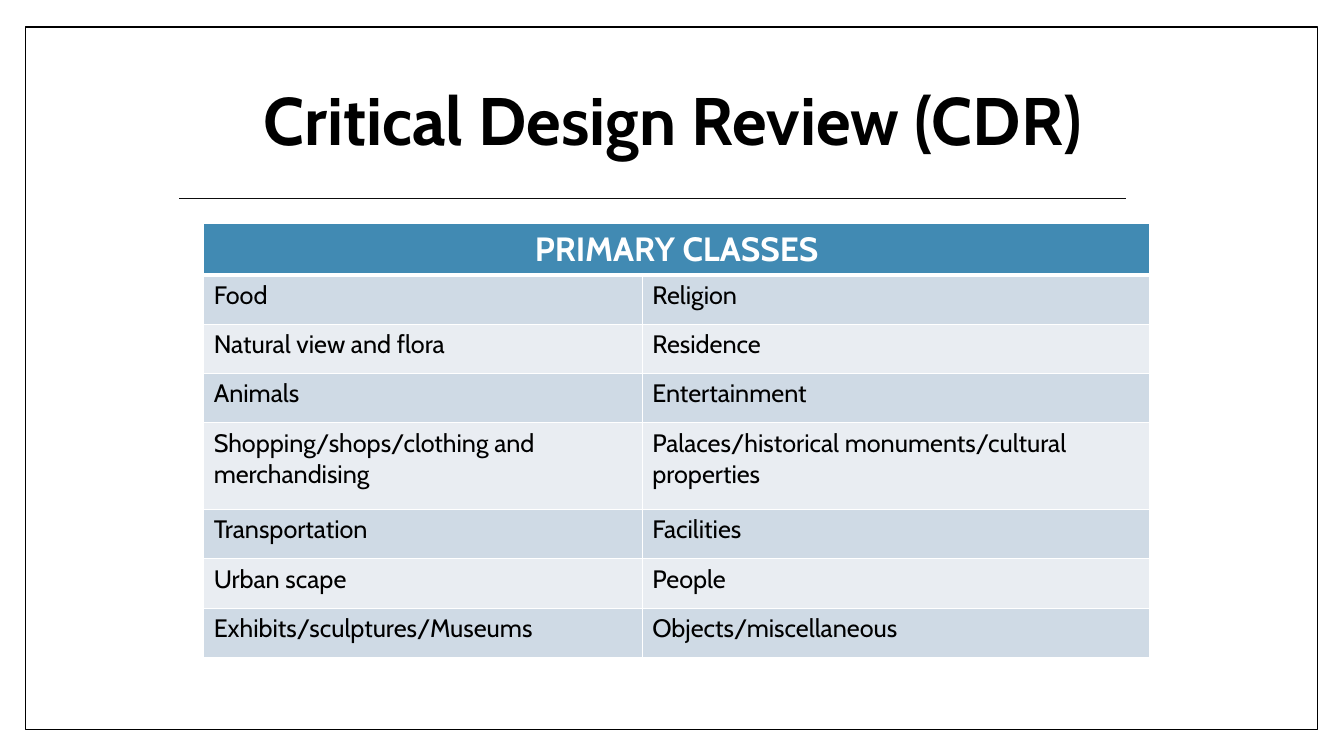
import pptx
import pptx.dml.color
import pptx.enum.shapes
import pptx.enum.text
import pptx.oxml
import pptx.oxml.ns
import pptx.util
from pptx.util import Inches

COLORS = {
    "white": "FFFFFF",
    "black": "000000",
    "rule": "0D0D0D",
    "header": "418AB3",
    "band_dark": "CFDAE5",
    "band_light": "E9EDF2",
}

CLASSES = [
    ("Food", "Religion"),
    ("Natural view and flora", "Residence"),
    ("Animals", "Entertainment"),
    ("Shopping/shops/clothing and merchandising",
     "Palaces/historical monuments/cultural properties"),
    ("Transportation", "Facilities"),
    ("Urban scape", "People"),
    ("Exhibits/sculptures/Museums", "Objects/miscellaneous"),
]


class SlideBuilder:
    font = "Cabin"

    def __init__(self, s):
        self.s = s

    def color(self, name):
        return pptx.dml.color.RGBColor.from_string(COLORS[name])

    def text(self, tf, text, size, color="black", bold=False, centered=False):
        tf.text = text
        p = tf.paragraphs[0]
        align = pptx.enum.text.PP_ALIGN
        p.alignment = align.CENTER if centered else align.LEFT
        font = p.runs[0].font
        font.name = self.font
        font.size = pptx.util.Pt(size)
        font.bold = bold
        font.color.rgb = self.color(color)
        return p

    def title(self, text, x, y, w, h):
        sp = self.s.shapes.title
        sp.left, sp.top, sp.width, sp.height = map(Inches, (x, y, w, h))
        tf = sp.text_frame
        tf.word_wrap = True
        tf.vertical_anchor = pptx.enum.text.MSO_ANCHOR.MIDDLE
        p = self.text(tf, text, 48, bold=True, centered=True)
        p.line_spacing = 0.9

    def frame(self, x, y, w, h):
        sp = self.s.shapes.add_shape(
            pptx.enum.shapes.MSO_SHAPE.RECTANGLE, *map(Inches, (x, y, w, h)))
        sp.shadow.inherit = False
        sp.fill.solid()
        sp.fill.fore_color.rgb = self.color("white")
        sp.line.color.rgb = self.color("black")
        sp.line.width = pptx.util.Pt(1)
        sp.element.getparent().insert(2, sp.element)

    def rule(self, x1, x2, y):
        line = self.s.shapes.add_connector(
            pptx.enum.shapes.MSO_CONNECTOR.STRAIGHT, *map(Inches, (x1, y, x2, y)))
        line.line.color.rgb = self.color("rule")
        line.line.width = pptx.util.Pt(0.79)
        line.element.spPr.append(pptx.oxml.parse_xml(
            f'<a:effectLst {pptx.oxml.ns.nsdecls("a")}/>'))

    def cell(self, cell, fill, bottom=1, top=1):
        tc_pr = cell._tc.get_or_add_tcPr()
        for side, width in (("L", 1), ("R", 1), ("T", top), ("B", bottom)):
            tc_pr.append(pptx.oxml.parse_xml(
                f'<a:ln{side} {pptx.oxml.ns.nsdecls("a")} w="{pptx.util.Pt(width)}">'
                f'<a:solidFill><a:srgbClr val="{COLORS["white"]}"/></a:solidFill>'
                f'</a:ln{side}>'))
        cell.fill.solid()
        cell.fill.fore_color.rgb = self.color(fill)

    def table(self, heading, rows, x, y, widths, heights):
        table = self.s.shapes.add_table(
            len(heights), len(widths), Inches(x), Inches(y),
            Inches(sum(widths)), Inches(sum(heights))).table
        for column, width in zip(table.columns, widths):
            column.width = Inches(width)
        for row, height in zip(table.rows, heights):
            row.height = Inches(height)
        for c in range(len(widths)):
            self.cell(table.cell(0, c), "header", bottom=3)
        table.cell(0, 0).merge(table.cell(0, len(widths) - 1))
        self.text(table.cell(0, 0).text_frame, heading, 24, "white", True, True)
        for r, row in enumerate(rows, 1):
            for c, text in enumerate(row):
                cell = table.cell(r, c)
                self.cell(cell, "band_dark" if r % 2 else "band_light",
                          top=3 if r == 1 else 1)
                self.text(cell.text_frame, text, 18)


def main():
    prs = pptx.Presentation()
    prs.slide_width = Inches(13.33)
    prs.slide_height = Inches(7.5)
    slide = SlideBuilder(prs.slides.add_slide(prs.slide_layouts[5]))
    slide.frame(0.25, 0.27, 12.82, 6.97)
    slide.title("Critical Design Review (CDR)", 0.4, 0.49, 12.54, 1.48)
    slide.rule(1.78, 11.17, 1.97)
    heights = [0.49] * (len(CLASSES) + 1)
    heights[0] = 0.48
    heights[4] = 0.86
    slide.table("PRIMARY CLASSES", CLASSES, 2.02, 2.22, [4.35, 5.03], heights)
    prs.save("out.pptx")


if __name__ == "__main__":
    main()
